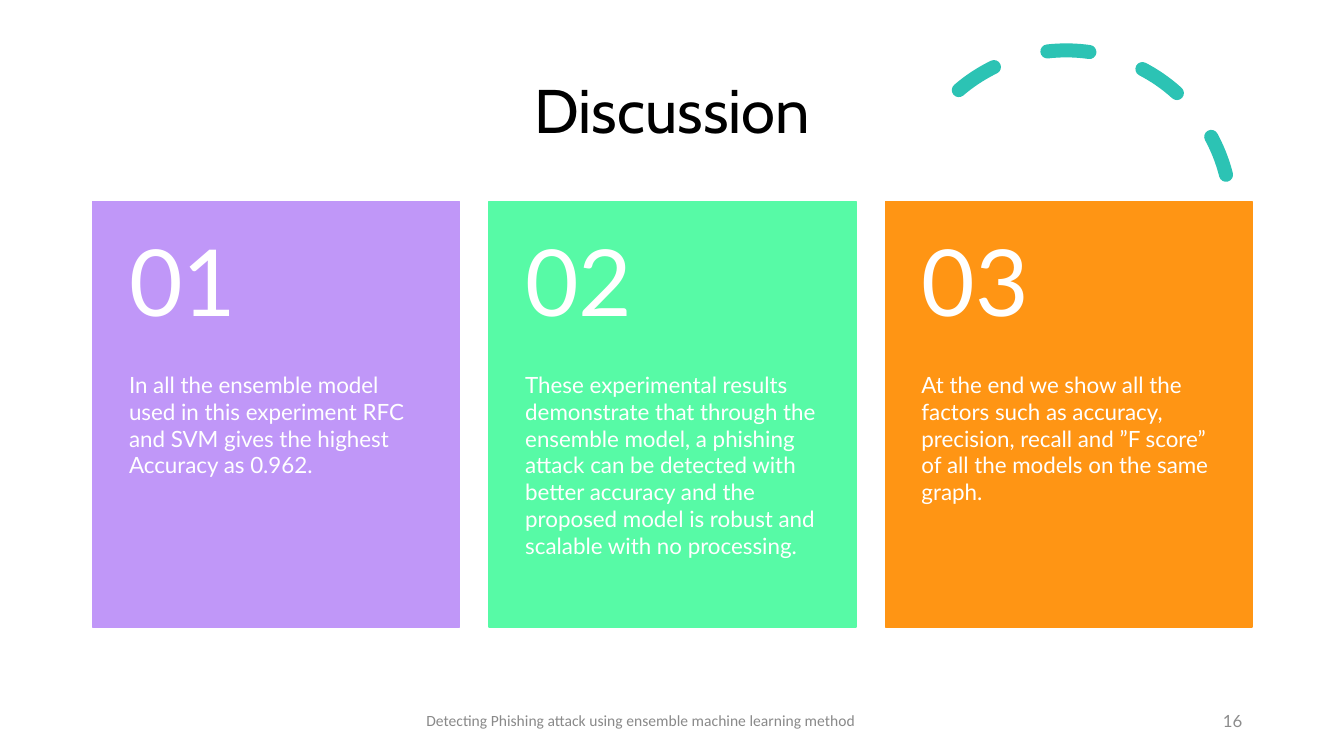
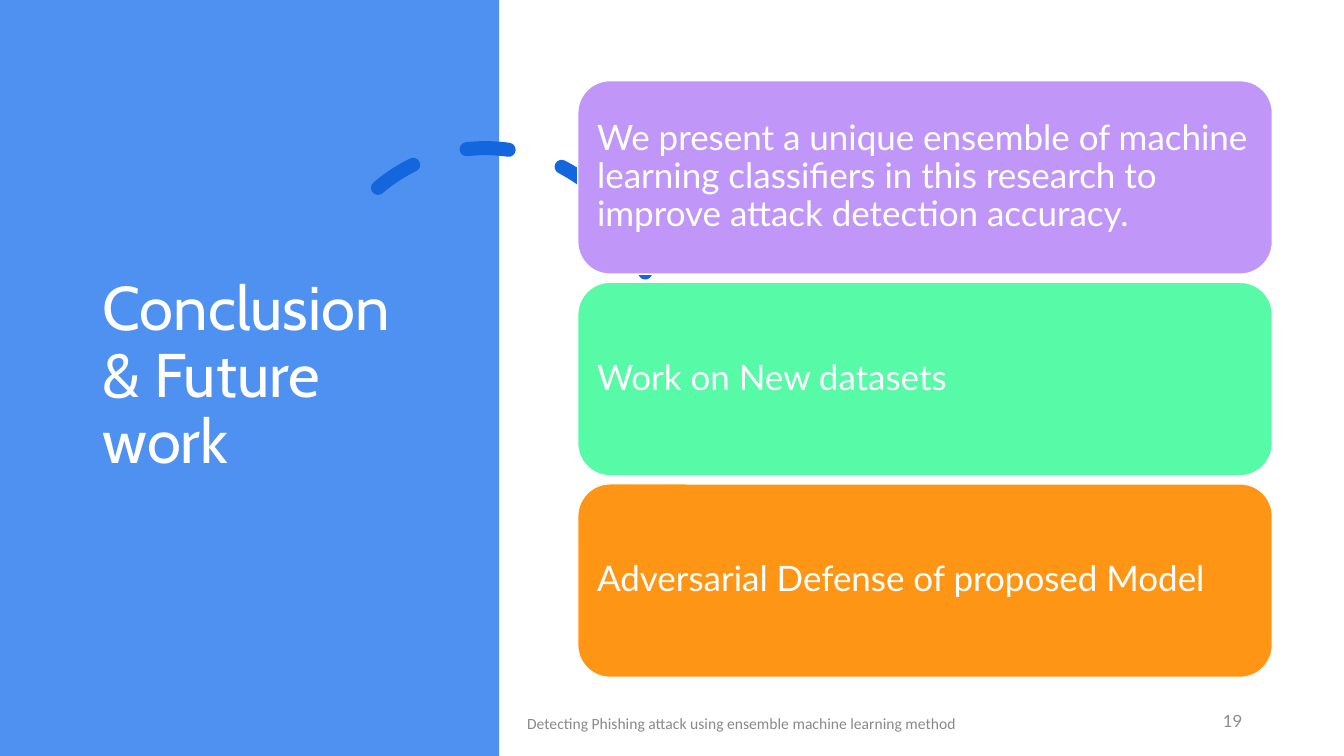
from pptx import Presentation
from pptx import util as u
from pptx.dml.color import RGBColor
from pptx.enum import dml, shapes, text

# Theme
THEME = {
    "white": "FFFFFF", "black": "000000", "gray": "8C8C8C", "footer": "898989",
    "panel": "4E91F0", "teal": "2CC3B4", "blue": "1366DC",
    "accents": ["C097F8", "57FAA6", "FF9514"],
    "heading": "Cabin", "body": "Lato", "footer_font": "Calibri",
    "title_size": 44, "number_size": 66, "point_size": 25,
    "card_size": 16, "page_size": 12, "footer_size": 11.1,
}
FOOTER = "Detecting Phishing attack using ensemble machine learning method"
SHAPE, ALIGN, ANCHOR = shapes.MSO_SHAPE, text.PP_ALIGN, text.MSO_ANCHOR


def add_shape(s, kind, at, fill=None, line=None, width=1):
    sp = s.shapes.add_shape(kind, *(u.Inches(v) for v in at))
    sp.shadow.inherit = False
    for part, color in ((sp.fill, fill), (sp.line.fill, line)):
        if color:
            part.solid()
            part.fore_color.rgb = RGBColor.from_string(color)
        else:
            part.background()
    if line:
        sp.line.width = u.Pt(width)
    return sp


def write(sp, words, size, color, font=THEME["body"], align=ALIGN.LEFT,
          anchor=ANCHOR.MIDDLE, spacing=1.0, insets=(0.1, 0.05, 0.1, 0.05)):
    tf = sp.text_frame
    frame = {"word_wrap": True, "vertical_anchor": anchor}
    sides = ("margin_left", "margin_top", "margin_right", "margin_bottom")
    frame.update(zip(sides, map(u.Inches, insets)))
    for name, value in frame.items():
        setattr(tf, name, value)
    p = tf.paragraphs[0]
    p.text = words
    p.alignment, p.line_spacing = align, spacing
    for r in p.runs:
        for name, value in {"size": u.Pt(size), "name": font}.items():
            setattr(r.font, name, value)
        r.font.color.rgb = RGBColor.from_string(color)


prs = Presentation()
prs.slide_width, prs.slide_height = u.Inches(13.33), u.Inches(7.5)
discussion, conclusion = (prs.slides.add_slide(prs.slide_layouts[6]) for _ in range(2))

# Side panel of the conclusion
add_shape(conclusion, SHAPE.RECTANGLE, (0, 0, 4.95, 7.5), THEME["panel"])

# Shared parts: dashed arc, title, page number, footer
pages = [
    {"s": discussion, "arc": (8.94, 0.5), "arc_color": THEME["teal"],
     "title": "Discussion", "title_at": (0.92, 0.4, 11.5, 1.45),
     "title_color": THEME["black"], "align": ALIGN.CENTER,
     "page": "16", "footer_at": (4.13, 6.95)},
    {"s": conclusion, "arc": (3.18, 1.47), "arc_color": THEME["blue"],
     "title": "Conclusion\v& Future work", "title_at": (0.92, 0.7, 3.23, 6.09),
     "title_color": THEME["white"], "align": ALIGN.LEFT,
     "page": "19", "footer_at": (5.13, 6.98)},
]
for page in pages:
    s = page["s"]
    arc = add_shape(s, SHAPE.ARC, (*page["arc"], 3.27, 3.27), line=page["arc_color"], width=10)
    arc.adjustments[0], arc.adjustments[1] = 146.13, 0
    arc.rotation = 345.8
    arc.line.dash_style = dml.MSO_LINE.DASH
    arc.line._get_or_add_ln().set("cap", "rnd")

    write(add_shape(s, SHAPE.RECTANGLE, page["title_at"]), page["title"],
          THEME["title_size"], page["title_color"], THEME["heading"],
          page["align"], spacing=0.9)
    write(add_shape(s, SHAPE.RECTANGLE, (10.57, 6.95, 1.85, 0.4)), page["page"],
          THEME["page_size"], THEME["gray"], align=ALIGN.RIGHT)
    write(add_shape(s, SHAPE.RECTANGLE, (*page["footer_at"], 4.46, 0.4)), FOOTER,
          THEME["footer_size"], THEME["footer"], THEME["footer_font"])

# Discussion: three numbered cards
findings = [
    "In all the ensemble model used in this experiment RFC and SVM gives the "
    "highest Accuracy as 0.962.",
    "These experimental results demonstrate that through the ensemble model, a "
    "phishing attack can be detected with better accuracy and the proposed model "
    "is robust and scalable with no processing.",
    "At the end we show all the factors such as accuracy, precision, recall and "
    "”F score” of all the models on the same graph.",
]
for i, (words, color) in enumerate(zip(findings, THEME["accents"])):
    left = 0.92 + i * 3.93
    card = add_shape(discussion, SHAPE.RECTANGLE, (left, 2, 3.64, 4.22), color, color)
    write(card, words, THEME["card_size"], THEME["white"],
          anchor=ANCHOR.TOP, insets=(0.36, 1.68, 0.36, 0.36))
    number = add_shape(discussion, SHAPE.RECTANGLE, (left, 2, 3.64, 1.69))
    write(number, f"{i + 1:02}", THEME["number_size"], THEME["white"],
          spacing=0.9, insets=(0.36, 0.18, 0.36, 0.18))

# Conclusion: three stacked points
points = [
    "We present a unique ensemble of machine learning classifiers in this research "
    "to improve attack detection accuracy.",
    "Work on New datasets",
    "Adversarial Defense of proposed Model",
]
for i, (words, color) in enumerate(zip(points, THEME["accents"])):
    box = add_shape(conclusion, SHAPE.ROUNDED_RECTANGLE, (5.73, 0.8 + i * 2, 6.89, 1.92),
                    color, THEME["white"])
    write(box, words, THEME["point_size"], THEME["white"], spacing=0.9, insets=(0.1,) * 4)

prs.save("out.pptx")
